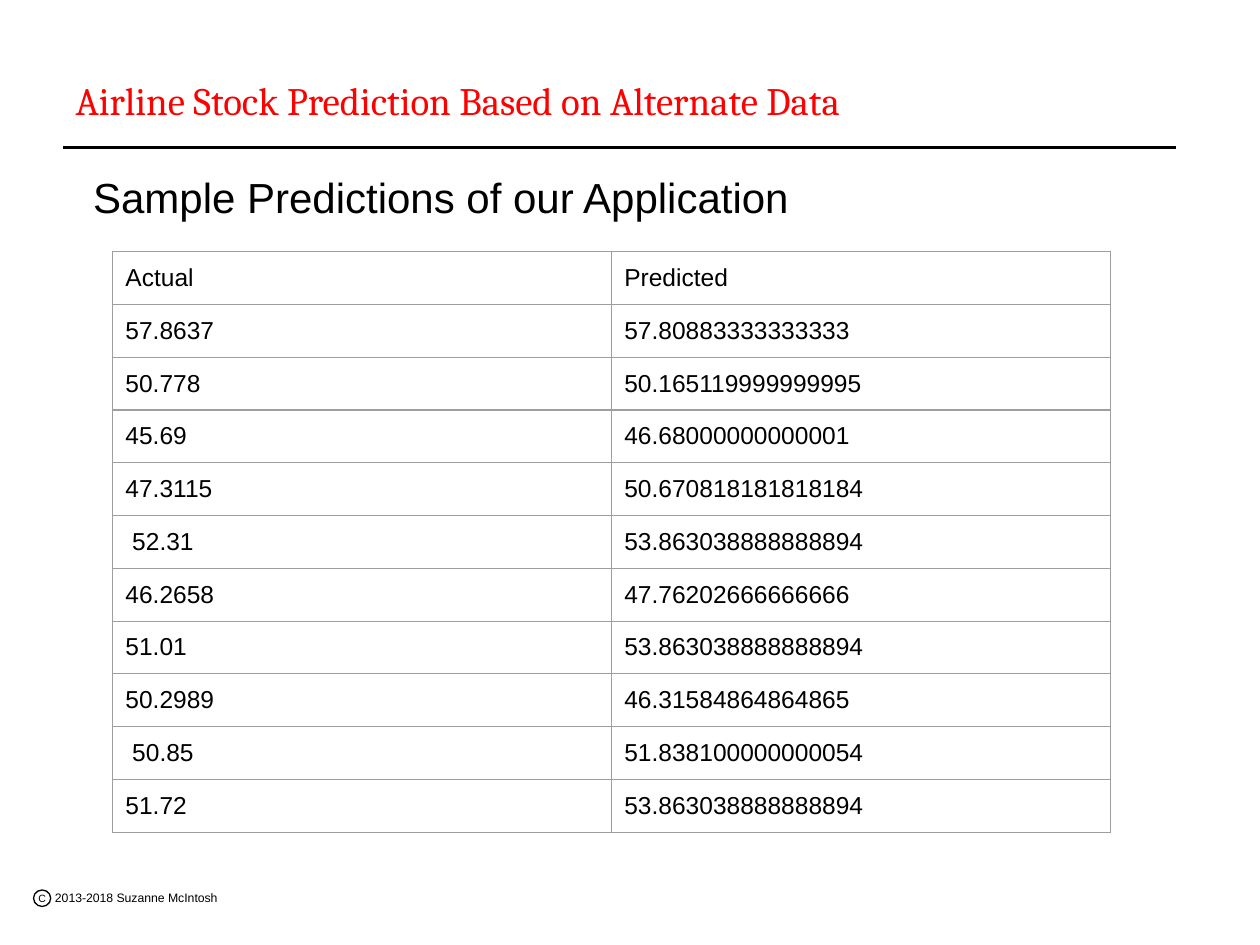
from dataclasses import dataclass

from lxml import etree
from pptx import Presentation
from pptx import util as u
from pptx.dml.color import RGBColor
from pptx.enum import shapes, text
from pptx.oxml import ns

Pt = u.Pt


@dataclass(frozen=True)
class Style:
    size: float
    color: str = "000000"
    font: str = "Arial"


@dataclass(frozen=True)
class Theme:
    title: Style = Style(22.2, "FF0000", "Cambria")
    subtitle: Style = Style(24)
    cell: Style = Style(14)
    credit: Style = Style(7)
    mark: Style = Style(6)
    ink: str = "000000"
    paper: str = "FFFFFF"
    grid: str = "9E9E9E"
    grid_width: float = 0.75


@dataclass(frozen=True)
class Box:
    left: float
    top: float
    width: float
    height: float

    def lengths(self) -> tuple:
        return tuple(Pt(n) for n in (self.left, self.top, self.width, self.height))


@dataclass(frozen=True)
class Prediction:
    actual: str
    predicted: str


THEME = Theme()
PREDICTIONS = [
    Prediction("57.8637", "57.80883333333333"),
    Prediction("50.778", "50.165119999999995"),
    Prediction("45.69", "46.68000000000001"),
    Prediction("47.3115", "50.670818181818184"),
    Prediction(" 52.31", "53.863038888888894"),
    Prediction("46.2658", "47.76202666666666"),
    Prediction("51.01", "53.863038888888894"),
    Prediction("50.2989", "46.31584864864865"),
    Prediction(" 50.85", "51.838100000000054"),
    Prediction("51.72", "53.863038888888894"),
]


def write(frame, words: str, style: Style, align=text.PP_ALIGN.LEFT) -> None:
    frame.text = words
    para = frame.paragraphs[0]
    para.alignment = align
    for span in para.runs:
        span.font.size = Pt(style.size)
        span.font.name = style.font
        span.font.bold = False
        span.font.color.rgb = RGBColor.from_string(style.color)


def set_insets(target, inset: float) -> None:
    """Give a text frame or a table cell the same inset on all sides."""
    target.margin_left = target.margin_right = Pt(inset)
    target.margin_top = target.margin_bottom = Pt(inset)


def set_frame(frame, anchor, inset: float) -> None:
    frame.word_wrap = True
    frame.auto_size = text.MSO_AUTO_SIZE.NONE
    frame.vertical_anchor = anchor
    set_insets(frame, inset)


def add_title(page, words: str, box: Box) -> None:
    title = page.shapes.title
    title.left, title.top, title.width, title.height = box.lengths()
    set_frame(title.text_frame, text.MSO_ANCHOR.BOTTOM, 7.2)
    write(title.text_frame, words, THEME.title)


def add_text(page, words: str, box: Box, style: Style, anchor, inset: float):
    frame = page.shapes.add_textbox(*box.lengths()).text_frame
    set_frame(frame, anchor, inset)
    write(frame, words, style)
    return frame


def add_rule(page, left: float, right: float, y: float) -> None:
    rule = page.shapes.add_connector(
        shapes.MSO_CONNECTOR.STRAIGHT, Pt(left), Pt(y), Pt(right), Pt(y))
    rule.line.color.rgb = RGBColor.from_string(THEME.ink)
    rule.line.width = Pt(1.5)
    etree.SubElement(rule._element.spPr, ns.qn("a:effectLst"))


def add_copyright_mark(page, box: Box) -> None:
    mark = page.shapes.add_shape(shapes.MSO_SHAPE.OVAL, *box.lengths())
    mark.shadow.inherit = False
    mark.fill.solid()
    mark.fill.fore_color.rgb = RGBColor.from_string(THEME.paper)
    mark.line.color.rgb = RGBColor.from_string(THEME.ink)
    mark.line.width = Pt(0.75)
    set_frame(mark.text_frame, text.MSO_ANCHOR.MIDDLE, 0)
    mark.text_frame.word_wrap = False
    write(mark.text_frame, "C", THEME.mark, text.PP_ALIGN.CENTER)


def set_borders(cell) -> None:
    props = cell._tc.get_or_add_tcPr()
    for index, side in enumerate(("a:lnL", "a:lnR", "a:lnT", "a:lnB")):
        line = etree.Element(ns.qn(side), w=str(Pt(THEME.grid_width)))
        fill = etree.SubElement(line, ns.qn("a:solidFill"))
        etree.SubElement(fill, ns.qn("a:srgbClr"), val=THEME.grid)
        props.insert(index, line)


def add_predictions(page, rows: list[Prediction], box: Box) -> None:
    table = page.shapes.add_table(len(rows), 2, *box.lengths()).table
    table.first_row = table.horz_banding = False
    for column in table.columns:
        column.width = Pt(box.width / 2)
    for row, entry in zip(table.rows, rows):
        row.height = Pt(box.height / len(rows))
        for cell, words in zip(row.cells, (entry.actual, entry.predicted)):
            set_insets(cell, 7.2)
            cell.fill.background()
            write(cell.text_frame, words, THEME.cell)
            set_borders(cell)


def main() -> None:
    deck = Presentation()
    deck.slide_width, deck.slide_height = Pt(720), Pt(540)
    page = deck.slides.add_slide(deck.slide_layouts[5])

    # Heading
    add_rule(page, 36, 672, 84.2)
    add_title(page, "Airline Stock Prediction Based on Alternate Data",
              Box(36, 21.6, 648, 56.2))
    add_text(page, "Sample Predictions of our Application",
             Box(46.1, 90.7, 589, 26), THEME.subtitle, text.MSO_ANCHOR.TOP, 7.2)

    # Actual against predicted prices
    rows = [Prediction("Actual", "Predicted"), *PREDICTIONS]
    add_predictions(page, rows, Box(64.5, 143.8, 570.2, 30.1 * len(rows)))

    # Copyright line, indented past its mark
    credit = add_text(page, "2013-2018 Suzanne McIntosh", Box(15.1, 503.5, 131, 18.7),
                      THEME.credit, text.MSO_ANCHOR.MIDDLE, 4.3)
    credit.margin_left = Pt(16.3)
    add_copyright_mark(page, Box(19.2, 508.6, 9.8, 9.4))

    deck.save("out.pptx")


if __name__ == "__main__":
    main()
